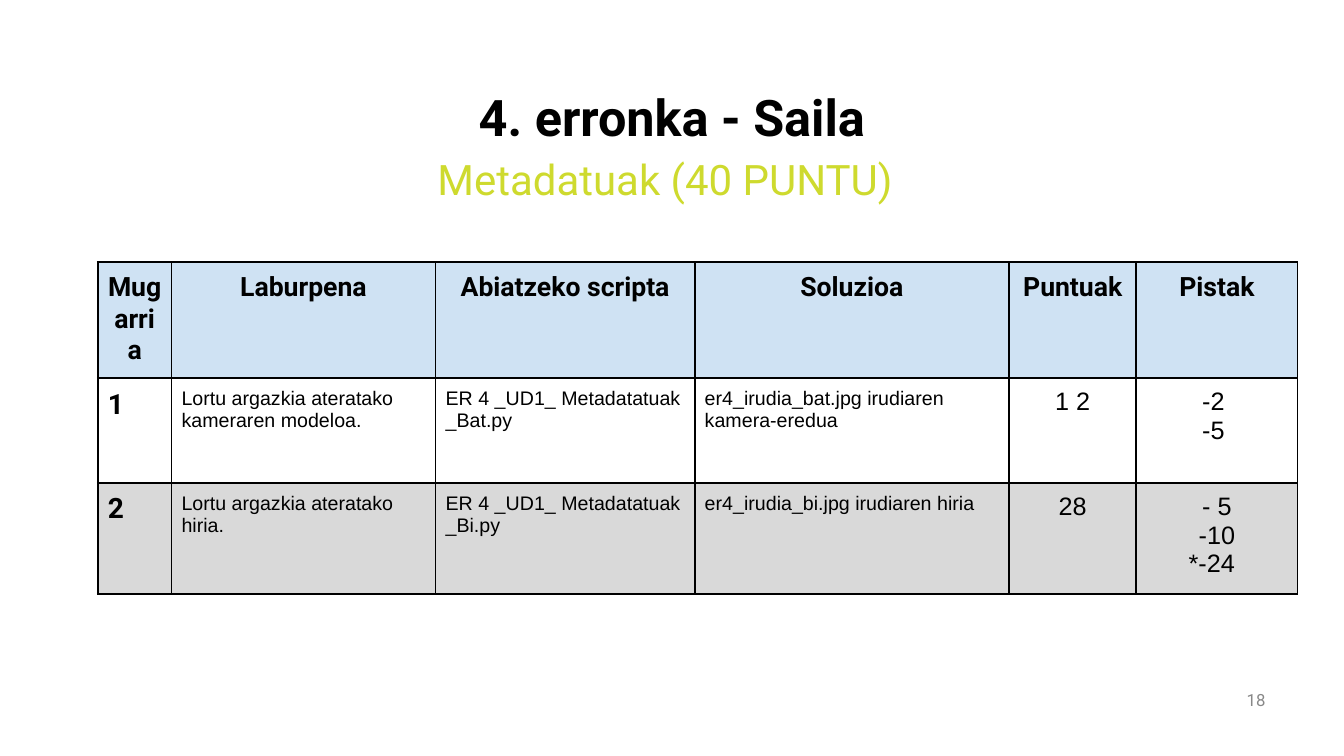
import pptx
import pptx.util
import pptx.dml.color
import pptx.enum.text
import pptx.oxml.ns
import lxml.etree

WIDTH, HEIGHT = 13.33, 7.5
COLORS = {
    "ink": "000000",
    "lime": "CEDA2E",
    "page": "888888",
    "header": "CFE2F3",
    "plain": "FFFFFF",
    "band": "D9D9D9",
}
ALIGN = pptx.enum.text.PP_ALIGN
ANCHOR = pptx.enum.text.MSO_ANCHOR

COLUMN_WIDTHS = [0.73, 2.62, 2.57, 3.12, 1.26, 1.6]
ROW_HEIGHTS = [1.13, 1.04, 1.04]
HEADINGS = ["Mugarria", "Laburpena", "Abiatzeko scripta", "Soluzioa", "Puntuak", "Pistak"]
MILESTONES = [
    ["1", "Lortu argazkia ateratako kameraren modeloa.",
     "ER 4 _UD1_ Metadatatuak _Bat.py",
     "er4_irudia_bat.jpg irudiaren kamera-eredua", "1 2", "-2 \n-5 "],
    ["2", "Lortu argazkia ateratako hiria.",
     "ER 4 _UD1_ Metadatatuak _Bi.py",
     "er4_irudia_bi.jpg irudiaren hiria", "28", "- 5\n-10\n*-24"],
]
HEADING_STYLE = ("Roboto", 19, True, ALIGN.CENTER)
NUMBER_STYLE = ("Roboto", 20, True, ALIGN.LEFT)
DETAIL_STYLE = ("Arial", 14, False, ALIGN.LEFT)
SCORE_STYLE = ("Arial", 18, False, ALIGN.CENTER)
MILESTONE_STYLES = [NUMBER_STYLE] + [DETAIL_STYLE] * 3 + [SCORE_STYLE] * 2


def rgb(name):
    return pptx.dml.color.RGBColor.from_string(COLORS[name])


def share_x(share):
    return pptx.util.Inches(WIDTH * share)


def share_y(share):
    return pptx.util.Inches(HEIGHT * share)


def write(frame, text, style, color):
    font_name, size, bold, alignment = style
    frame.text = text
    for paragraph in frame.paragraphs:
        paragraph.alignment = alignment
        for run in paragraph.runs:
            run.font.name = font_name
            run.font.size = pptx.util.Pt(size)
            run.font.bold = bold
            run.font.color.rgb = rgb(color)


def add_label(slide, area, text, style, color, anchor):
    left, top, width, height = area
    label = slide.shapes.add_textbox(
        share_x(left), share_y(top), share_x(width), share_y(height))
    label.text_frame.word_wrap = True
    label.text_frame.vertical_anchor = anchor
    write(label.text_frame, text, style, color)


def add_borders(cell):
    properties = cell._tc.get_or_add_tcPr()
    qn = pptx.oxml.ns.qn
    for side in ("a:lnL", "a:lnR", "a:lnT", "a:lnB"):
        border = lxml.etree.SubElement(properties, qn(side), w=str(pptx.util.Pt(1.5)))
        fill = lxml.etree.SubElement(border, qn("a:solidFill"))
        lxml.etree.SubElement(fill, qn("a:srgbClr"), val=COLORS["ink"])


def fill_row(table, row, texts, styles, background):
    for column, (text, style) in enumerate(zip(texts, styles)):
        cell = table.cell(row, column)
        cell.margin_left = cell.margin_right = pptx.util.Inches(0.1)
        cell.margin_top = cell.margin_bottom = pptx.util.Inches(0.1)
        write(cell.text_frame, text, style, "ink")
        add_borders(cell)
        cell.fill.solid()
        cell.fill.fore_color.rgb = rgb(background)


def add_milestones(slide):
    table = slide.shapes.add_table(
        len(ROW_HEIGHTS), len(COLUMN_WIDTHS), share_x(0.0728), share_y(0.3467),
        pptx.util.Inches(sum(COLUMN_WIDTHS)), pptx.util.Inches(sum(ROW_HEIGHTS))).table
    table.first_row = table.horz_banding = False
    for column, width in zip(table.columns, COLUMN_WIDTHS):
        column.width = pptx.util.Inches(width)
    for row, height in zip(table.rows, ROW_HEIGHTS):
        row.height = pptx.util.Inches(height)
    fill_row(table, 0, HEADINGS, [HEADING_STYLE] * len(HEADINGS), "header")
    for row, (texts, background) in enumerate(zip(MILESTONES, ("plain", "band")), 1):
        fill_row(table, row, texts, MILESTONE_STYLES, background)
    last_hint = table.cell(2, 5).text_frame.paragraphs[-1]
    last_hint.alignment = ALIGN.LEFT
    last_hint._p.get_or_add_pPr().set("marL", str(pptx.util.Inches(0.42)))


def main():
    deck = pptx.Presentation()
    deck.slide_width = pptx.util.Inches(WIDTH)
    deck.slide_height = pptx.util.Inches(HEIGHT)
    slide = deck.slides.add_slide(deck.slide_layouts[6])
    add_label(slide, (0.05, 0.112, 0.9, 0.084), "4. erronka - Saila",
              ("Roboto", 36, True, ALIGN.CENTER), "ink", ANCHOR.MIDDLE)
    add_label(slide, (0.046, 0.196, 0.898, 0.063), "Metadatuak (40 PUNTU)",
              ("Roboto", 30, False, ALIGN.CENTER), "lime", ANCHOR.TOP)
    add_milestones(slide)
    add_label(slide, (0.716, 0.899, 0.233, 0.053), "18",
              ("Roboto", 12, False, ALIGN.RIGHT), "page", ANCHOR.MIDDLE)
    deck.save("out.pptx")


if __name__ == "__main__":
    main()
